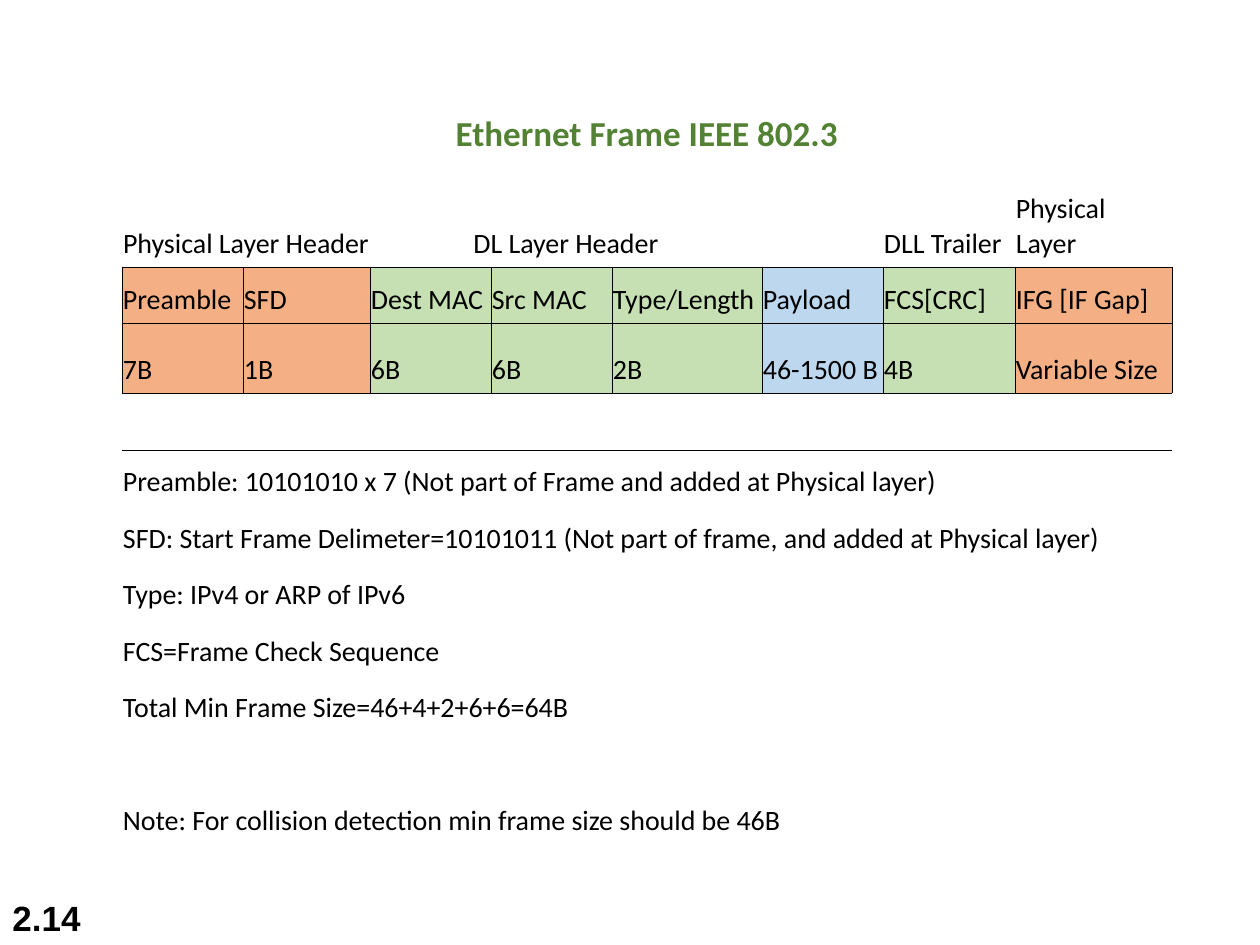
from lxml.etree import SubElement
from pptx import Presentation
from pptx.dml.color import RGBColor
from pptx.enum.text import MSO_ANCHOR as ANCHOR, PP_ALIGN as ALIGN
from pptx.oxml.ns import qn
from pptx.util import Pt

PX = 914400 // 126
BLACK = RGBColor(0x00, 0x00, 0x00)
TITLE_GREEN = RGBColor(0x54, 0x82, 0x35)
ORANGE = RGBColor(0xF4, 0xB0, 0x84)
GREEN = RGBColor(0xC6, 0xE0, 0xB4)
BLUE = RGBColor(0xBD, 0xD7, 0xEE)
NO_STYLE = "{2D5ABB26-0587-4C30-8999-92F81FD0307C}"

TITLE = "Ethernet Frame IEEE 802.3"
PAGE = "2.14"
# column, span, label, alignment
LAYERS = [
    (0, 2, "Physical Layer Header", ALIGN.CENTER),
    (2, 3, "DL Layer Header", ALIGN.CENTER),
    (6, 1, "DLL Trailer", ALIGN.LEFT),
    (7, 1, "Physical Layer", ALIGN.LEFT),
]
FIELDS = [
    ("Preamble", "7B", ORANGE, 121),
    ("SFD", "1B", ORANGE, 127),
    ("Dest MAC", "6B", GREEN, 121),
    ("Src MAC", "6B", GREEN, 121),
    ("Type/Length", "2B", GREEN, 150),
    ("Payload", "46-1500 B", BLUE, 121),
    ("FCS[CRC]", "4B", GREEN, 132),
    ("IFG [IF Gap]", "Variable Size", ORANGE, 157),
]
NOTES = [
    (5, 7, "Preamble: 10101010 x 7 (Not part of Frame and added at Physical layer)"),
    (6, 8, "SFD: Start Frame Delimeter=10101011 (Not part of frame, and added at Physical layer)"),
    (7, 3, "Type: IPv4 or ARP of IPv6"),
    (8, 3, "FCS=Frame Check Sequence"),
    (9, 4, "Total Min Frame Size=46+4+2+6+6=64B"),
    (11, 6, "Note: For collision detection min frame size should be 46B"),
]
ROWS = [62, 105, 56, 70] + [57, 56] * 4
BORDERS = {1: "B", 2: "LRTB", 3: "LRTB", 4: "T"}
BODY = {"name": "Calibri", "size": Pt(16), "bold": False}
HEADING = {"name": "Calibri", "size": Pt(20), "bold": True}
PAGE_FONT = {"name": "Arial", "size": Pt(20), "bold": True}


def write(tf, text, font, color=BLACK, align=ALIGN.LEFT):
    p = tf.paragraphs[0]
    p.alignment = align
    r = p.add_run()
    r.text = text
    for name, value in font.items():
        setattr(r.font, name, value)
    r.font.color.rgb = color


def add_borders(cell, sides):
    tcPr = cell._tc.get_or_add_tcPr()
    for side in sides:
        ln = SubElement(tcPr, qn(f"a:ln{side}"), w=str(Pt(0.23)))
        SubElement(SubElement(ln, qn("a:solidFill")), qn("a:srgbClr"), val=str(BLACK))


def fill_row(table, row, col, span, text, font=BODY, color=BLACK, align=ALIGN.LEFT):
    cell = table.cell(row, col)
    if span > 1:
        cell.merge(table.cell(row, col + span - 1))
    write(cell.text_frame, text, font, color, align)


def add_frame_table(s):
    width = sum(field[3] for field in FIELDS)
    table = s.shapes.add_table(len(ROWS), len(FIELDS), 122 * PX, 100 * PX,
                               width * PX, sum(ROWS) * PX).table
    table.first_row = table.horz_banding = False
    table._tbl.tblPr.find(qn("a:tableStyleId")).text = NO_STYLE
    for row, height in zip(table.rows, ROWS):
        row.height = height * PX
    for column, field in zip(table.columns, FIELDS):
        column.width = field[3] * PX
    for i, row in enumerate(table.rows):
        for cell, field in zip(row.cells, FIELDS):
            cell.margin_left = cell.margin_right = PX
            cell.vertical_anchor = ANCHOR.BOTTOM
            add_borders(cell, BORDERS.get(i, ""))
            if i in (2, 3):
                cell.fill.solid()
                cell.fill.fore_color.rgb = field[2]
            else:
                cell.fill.background()

    fill_row(table, 0, 0, len(FIELDS), TITLE, HEADING, TITLE_GREEN, ALIGN.CENTER)
    for col, span, label, align in LAYERS:
        fill_row(table, 1, col, span, label, align=align)
    for col, (name, size, *_) in enumerate(FIELDS):
        fill_row(table, 2, col, 1, name)
        fill_row(table, 3, col, 1, size)
    for row, span, text in NOTES:
        fill_row(table, row, 0, span, text)


def main():
    """Build the Ethernet frame slide."""
    prs = Presentation()
    prs.slide_width, prs.slide_height = 1260 * PX, 945 * PX
    s = prs.slides.add_slide(prs.slide_layouts[6])
    tf = s.shapes.add_textbox(0, 882 * PX, 262 * PX, 63 * PX).text_frame
    tf.word_wrap = True
    tf.vertical_anchor = ANCHOR.BOTTOM
    write(tf, PAGE, PAGE_FONT)
    add_frame_table(s)
    prs.save("out.pptx")


if __name__ == "__main__":
    main()
